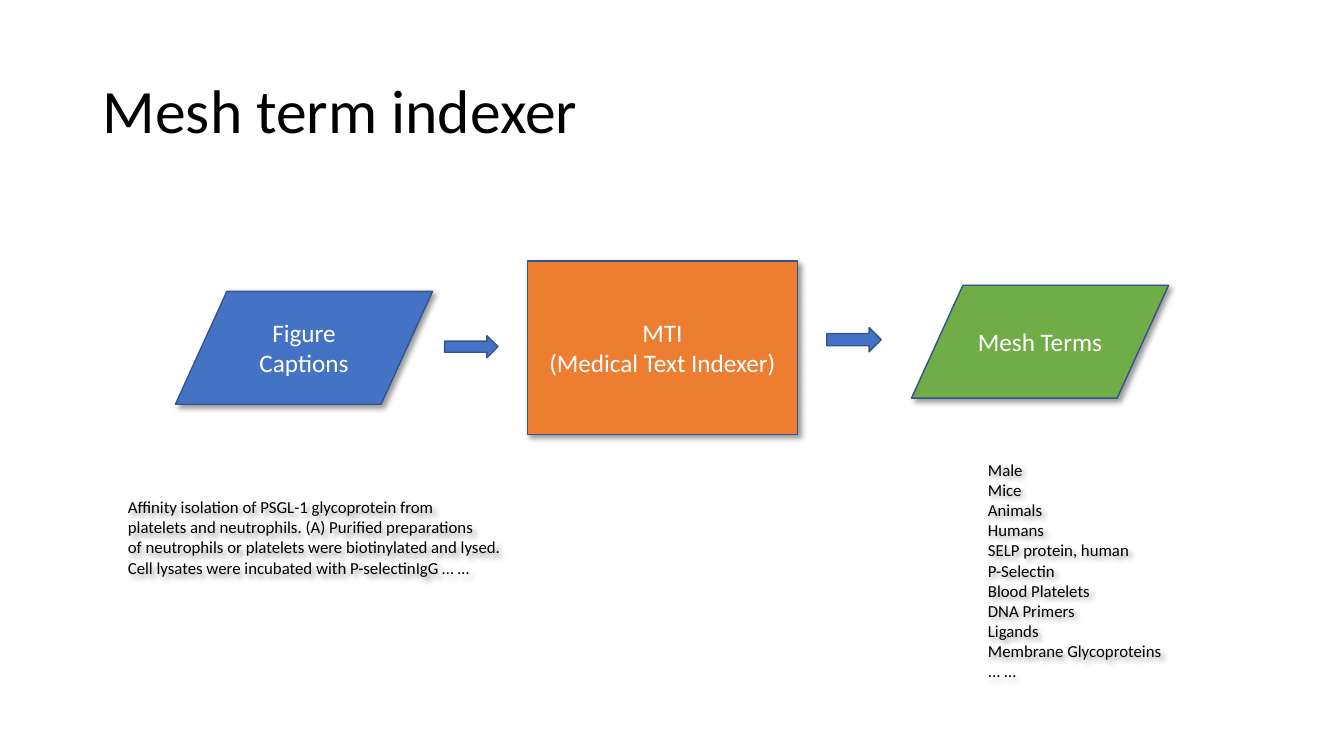
from lxml import etree
from pptx import Presentation
from pptx.dml.color import RGBColor
from pptx.enum.shapes import MSO_SHAPE
from pptx.enum.text import MSO_ANCHOR, MSO_AUTO_SIZE, PP_ALIGN
from pptx.oxml.ns import qn
from pptx.util import Inches, Pt

FONT = "Calibri"
COLORS = {
    "text": "000000",
    "label": "FFFFFF",
    "outline": "325491",
    "input": "4472C4",
    "process": "ED7D31",
    "output": "70AD47",
    "shadow": "000000",
}

# Each step: shape, fill, lines, box
STEPS = [
    (MSO_SHAPE.FLOWCHART_DATA, "input", ["Figure Captions"], (1.74, 2.89, 2.55, 1.12)),
    (MSO_SHAPE.FLOWCHART_DATA, "output", ["Mesh Terms"], (9.04, 2.83, 2.55, 1.12)),
    (MSO_SHAPE.FLOWCHART_PROCESS, "process", ["MTI", "(Medical Text Indexer)"],
     (5.23, 2.59, 2.68, 1.72)),
]
ARROWS = [(4.41, 3.33, 0.53, 0.22), (8.2, 3.25, 0.54, 0.24)]
MESH_TERMS = [
    "Male", "Mice", "Animals", "Humans", "SELP protein, human", "P-Selectin",
    "Blood Platelets", "DNA Primers", "Ligands", "Membrane Glycoproteins", "... …",
]
CAPTION = [
    "Affinity isolation of PSGL-1 glycoprotein from",
    "platelets and neutrophils. (A) Purified preparations",
    "of neutrophils or platelets were biotinylated and lysed.",
    "Cell lysates were incubated with P-selectinIgG … …",
]


def rgb(name):
    return RGBColor.from_string(COLORS[name])


def inches(box):
    return [Inches(length) for length in box]


def add_shadow(shape):
    """Give the shape a soft shadow to the lower right."""
    shape.shadow.inherit = False
    effects = shape._element.spPr.find(qn("a:effectLst"))
    shadow = etree.SubElement(effects, qn("a:outerShdw"), blurRad=str(Pt(4)),
                              dist=str(Pt(3)), dir=str(45 * 60000),
                              algn="tl", rotWithShape="0")
    color = etree.SubElement(shadow, qn("a:srgbClr"), val=COLORS["shadow"])
    etree.SubElement(color, qn("a:alpha"), val="40000")


def write_lines(frame, lines, size, color, align=PP_ALIGN.LEFT):
    frame.word_wrap = True
    for index, line in enumerate(lines):
        para = frame.paragraphs[0] if index == 0 else frame.add_paragraph()
        para.alignment = align
        span = para.add_run()
        span.text = line
        span.font.name = FONT
        span.font.size = Pt(size)
        span.font.color.rgb = rgb(color)


def add_title(slide, text, box):
    frame = slide.shapes.add_textbox(*inches(box)).text_frame
    frame.vertical_anchor = MSO_ANCHOR.MIDDLE
    write_lines(frame, [text], 44, "text")
    frame.paragraphs[0].line_spacing = 0.9


def add_block(slide, kind, fill, box):
    block = slide.shapes.add_shape(kind, *inches(box))
    block.shadow.inherit = False
    block.fill.solid()
    block.fill.fore_color.rgb = rgb(fill)
    block.line.color.rgb = rgb("outline")
    block.line.width = Pt(1)
    return block


def add_step(slide, kind, fill, lines, box):
    step = add_block(slide, kind, fill, box)
    add_shadow(step)
    step.text_frame.vertical_anchor = MSO_ANCHOR.MIDDLE
    write_lines(step.text_frame, lines, 18, "label", PP_ALIGN.CENTER)


def add_example(slide, lines, box):
    """Place sample text under a step of the flow."""
    example = slide.shapes.add_textbox(*inches(box))
    add_shadow(example)
    write_lines(example.text_frame, lines, 12, "text")
    example.text_frame.auto_size = MSO_AUTO_SIZE.SHAPE_TO_FIT_TEXT


def main():
    deck = Presentation()
    deck.slide_width, deck.slide_height = Inches(13.33), Inches(7.5)
    slide = deck.slides.add_slide(deck.slide_layouts[6])
    add_title(slide, "Mesh term indexer", (0.92, 0.4, 11.5, 1.45))
    for step in STEPS:
        add_step(slide, *step)
    add_example(slide, MESH_TERMS, (9.7, 4.51, 2.18, 2.32))
    for box in ARROWS:
        add_block(slide, MSO_SHAPE.RIGHT_ARROW, "input", box)
    add_example(slide, CAPTION, (1.17, 4.88, 4.06, 0.91))
    deck.save("out.pptx")


if __name__ == "__main__":
    main()
